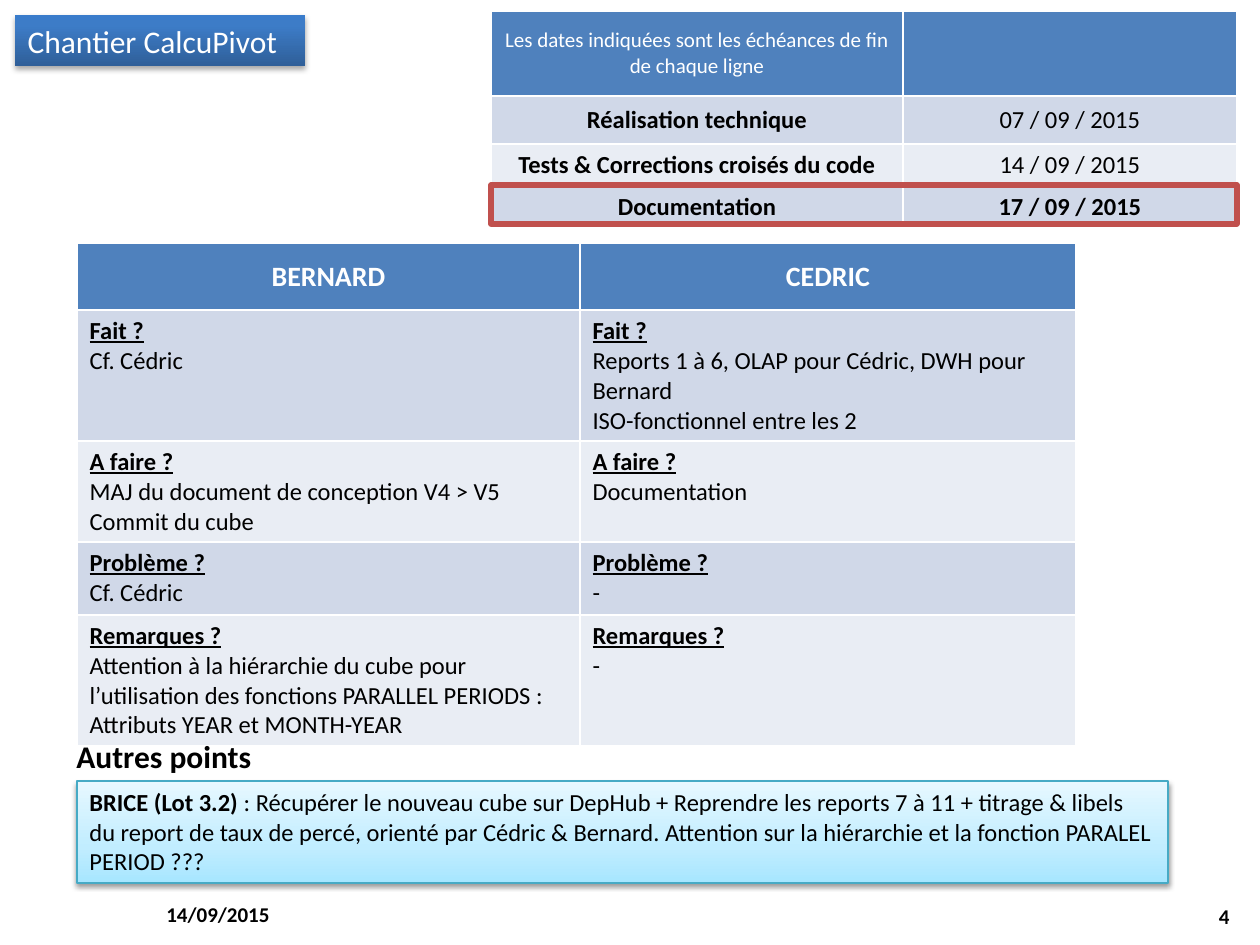
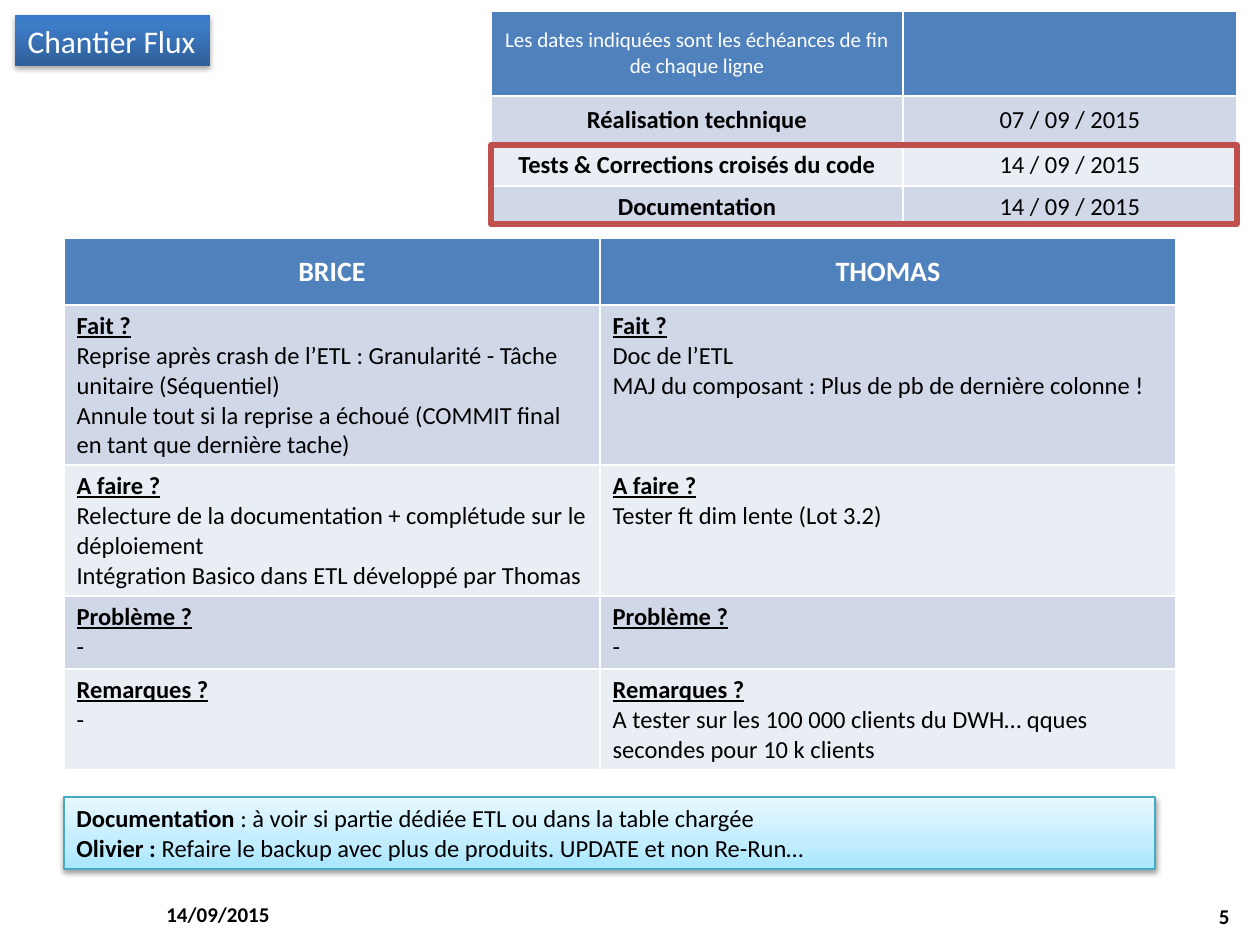
"""Build the two progress slides of the project follow-up."""
from lxml import etree
from pptx import Presentation
from pptx import util as u
from pptx.dml.color import RGBColor
from pptx.enum import shapes, text
from pptx.oxml import ns

SCALE = 914400 / 126
FONT = "Calibri"
COLORS = {
    "black": "000000", "white": "FFFFFF", "header": "4F81BD",
    "band_dark": "D0D8E8", "band_light": "E9EDF4",
    "alert": "C0504D", "note_line": "46AAC5",
}
TITLE_STOPS = [(0, "2F5F99"), (80, "3D7CC7"), (100, "3A7CCB")]
NOTE_STOPS = [(0, "A7E6FF"), (35, "C1EDFF"), (100, "E7F8FF")]
QUESTIONS = ["Fait ?", "A faire ?", "Problème ?", "Remarques ?"]
DATE = "14/09/2015"
CENTER = text.PP_ALIGN.CENTER
MIDDLE = text.MSO_ANCHOR.MIDDLE


def px(*lengths):
    """Turn pixel lengths into EMU."""
    return [round(length * SCALE) for length in lengths]


def rgb(name):
    """Return the named colour."""
    return RGBColor.from_string(COLORS[name])


def write(para, words, size=14, color="black", bold=False, underline=False, align=None):
    """Add one formatted span to a paragraph."""
    span = para.add_run()
    span.text = words
    span.font.name = FONT
    span.font.size = u.Pt(size)
    span.font.bold = bold
    span.font.underline = underline
    span.font.color.rgb = rgb(color)
    if align is not None:
        para.alignment = align


def next_para(frame, index):
    """Return the first paragraph, or a new one after it."""
    return frame.add_paragraph() if index else frame.paragraphs[0]


def add_xml(parent, tag, **attributes):
    """Append a drawing element and return it."""
    child = etree.SubElement(parent, ns.qn(f"a:{tag}"))
    for name, value in attributes.items():
        child.set(name, str(value))
    return child


def paint(shape, stops, line=None, shadow_alpha=35, shadow_distance=23000):
    """Give a shape an upward gradient, an outline and a soft shadow."""
    properties = shape._element.spPr
    gradient = add_xml(properties, "gradFill", rotWithShape=1)
    stop_list = add_xml(gradient, "gsLst")
    for position, color in stops:
        stop = add_xml(stop_list, "gs", pos=position * 1000)
        add_xml(stop, "srgbClr", val=color)
    add_xml(gradient, "lin", ang=16200000, scaled=0)
    if line:
        shape.line.color.rgb = rgb(line)
        shape.line.width = u.Pt(0.75)
    else:
        shape.line.fill.background()
    effects = add_xml(properties, "effectLst")
    shadow = add_xml(effects, "outerShdw", blurRad=40000, dist=shadow_distance,
                     dir=5400000, rotWithShape=0)
    shade = add_xml(shadow, "srgbClr", val=COLORS["black"])
    add_xml(shade, "alpha", val=shadow_alpha * 1000)


def add_title(page, words, width):
    """Turn the title placeholder into a blue label."""
    title = page.shapes.title
    title.left, title.top, title.width, title.height = px(15, 15, width, 51)
    paint(title, TITLE_STOPS)
    title.text_frame.auto_size = text.MSO_AUTO_SIZE.NONE
    title.text_frame.word_wrap = False
    title.text_frame.margin_right = 0
    write(title.text_frame.paragraphs[0], words, size=18, color="white",
          align=text.PP_ALIGN.LEFT)


def add_label(page, area, words, wrap=True, **style):
    """Add a one-line bold text box."""
    frame = page.shapes.add_textbox(*px(*area)).text_frame
    frame.word_wrap = wrap
    frame.vertical_anchor = MIDDLE
    write(frame.paragraphs[0], words, bold=True, **style)


def add_footer(page, number):
    """Add the date and the page number."""
    add_label(page, (154, 889, 294, 50), DATE, size=12)
    add_label(page, (948, 891, 294, 50), str(number), size=12, align=text.PP_ALIGN.RIGHT)


def add_grid(page, left, top, widths, heights):
    """Add a table with a blue header and banded rows."""
    area = px(left, top, sum(widths), sum(heights))
    table = page.shapes.add_table(len(heights), len(widths), *area).table
    for column, width in zip(table.columns, px(*widths)):
        column.width = width
    for index, (row, height) in enumerate(zip(table.rows, px(*heights))):
        row.height = height
        band = "band_dark" if index % 2 else "band_light"
        for cell in row.cells:
            cell.fill.solid()
            cell.fill.fore_color.rgb = rgb(band if index else "header")
    return table


def write_centered(cell, words, **style):
    """Write one line in the middle of a cell."""
    cell.vertical_anchor = MIDDLE
    write(cell.text_frame.paragraphs[0], words, align=CENTER, **style)


def add_schedule(page, final_date, final_bold, frame_top):
    """Add the deadline table and the red frame around its last rows."""
    table = add_grid(page, 491, 11, [412, 334], [85, 48, 42, 42])
    write_centered(table.cell(0, 0), size=12, color="white",
                   words="Les dates indiquées sont les échéances de fin de chaque ligne")
    deadlines = [("Réalisation technique", "07 / 09 / 2015", False),
                 ("Tests & Corrections croisés du code", "14 / 09 / 2015", False),
                 ("Documentation", final_date, final_bold)]
    for row, (step, date, bold) in enumerate(deadlines, 1):
        write_centered(table.cell(row, 0), step, bold=True)
        write_centered(table.cell(row, 1), date, bold=bold)
    frame = page.shapes.add_shape(shapes.MSO_SHAPE.RECTANGLE,
                                  *px(491, frame_top, 746, 224 - frame_top))
    frame.shadow.inherit = False
    frame.fill.background()
    frame.line.color.rgb = rgb("alert")
    frame.line.width = u.Pt(3)


def add_report(page, left, top, widths, heights, people):
    """Add the table of each person's answers to the four questions."""
    table = add_grid(page, left, top, widths, heights)
    for column, (person, answers) in enumerate(people.items()):
        write_centered(table.cell(0, column), person, size=16, color="white", bold=True)
        for row, (question, lines) in enumerate(zip(QUESTIONS, answers), 1):
            frame = table.cell(row, column).text_frame
            write(frame.paragraphs[0], question, bold=True, underline=True)
            for line in lines:
                write(frame.add_paragraph(), line)


def add_note(page, left, top, height, remarks):
    """Add the light blue box of remarks, each with a bold lead."""
    note = page.shapes.add_shape(shapes.MSO_SHAPE.RECTANGLE, *px(left, top, 1091, height))
    paint(note, NOTE_STOPS, line="note_line", shadow_alpha=38, shadow_distance=20000)
    frame = note.text_frame
    frame.word_wrap = True
    frame.vertical_anchor = text.MSO_ANCHOR.TOP
    for index, (lead, rest) in enumerate(remarks):
        para = next_para(frame, index)
        write(para, lead, bold=True, align=text.PP_ALIGN.LEFT)
        write(para, rest)


def add_page(deck, title, title_width, number):
    """Add a slide with its title label and footer."""
    page = deck.slides.add_slide(deck.slide_layouts[5])
    add_title(page, title, title_width)
    add_footer(page, number)
    return page


def build_pivot_page(deck):
    """Build the slide on the pivot work."""
    page = add_page(deck, "Chantier CalcuPivot", 290, 4)
    add_report(page, 77, 243, [503, 496], [67, 131, 101, 73, 131], {
        "BERNARD": [
            ["Cf. Cédric"],
            ["MAJ du document de conception V4 > V5", "Commit du cube"],
            ["Cf. Cédric"],
            ["Attention à la hiérarchie du cube pour l’utilisation des fonctions "
             "PARALLEL PERIODS : Attributs YEAR et MONTH-YEAR"],
        ],
        "CEDRIC": [
            ["Reports 1 à 6, OLAP pour Cédric, DWH pour Bernard",
             "ISO-fonctionnel entre les 2"],
            ["Documentation"],
            ["-"],
            ["-"],
        ],
    })
    add_note(page, 77, 781, 102, [
        ("BRICE (Lot 3.2) ",
         ": Récupérer le nouveau cube sur DepHub + Reprendre les reports 7 à 11 + titrage "
         "& libels du report de taux de percé, orienté par Cédric & Bernard. Attention sur "
         "la hiérarchie et la fonction PARALEL PERIOD ???"),
    ])
    add_label(page, (64, 730, 202, 51), "Autres points", wrap=False, size=18)
    add_schedule(page, "17 / 09 / 2015", True, 185)


def build_flow_page(deck):
    """Build the slide on the data loading work."""
    page = add_page(deck, "Chantier Flux", 195, 5)
    add_report(page, 64, 238, [536, 576], [67, 160, 131, 73, 101], {
        "BRICE": [
            ["Reprise après crash de l’ETL : Granularité - Tâche unitaire (Séquentiel)",
             "Annule tout si la reprise a échoué (COMMIT final en tant que dernière tache)"],
            ["Relecture de la documentation + complétude sur le déploiement",
             "Intégration Basico dans ETL développé par Thomas"],
            ["-"],
            ["-"],
        ],
        "THOMAS": [
            ["Doc de l’ETL", "MAJ du composant : Plus de pb de dernière colonne !"],
            ["Tester ft dim lente (Lot 3.2)"],
            ["-"],
            ["A tester sur les 100 000 clients du DWH… qques secondes pour 10 k clients"],
        ],
    })
    add_note(page, 64, 797, 72, [
        ("Documentation", " : à voir si partie dédiée ETL ou dans la table chargée"),
        ("Olivier : ", "Refaire le backup avec plus de produits. UPDATE et non Re-Run…"),
    ])
    add_schedule(page, "14 / 09 / 2015", False, 145)


def main():
    """Build and save the deck."""
    deck = Presentation()
    deck.slide_width, deck.slide_height = px(1260, 945)
    build_pivot_page(deck)
    build_flow_page(deck)
    deck.save("out.pptx")


if __name__ == "__main__":
    main()
